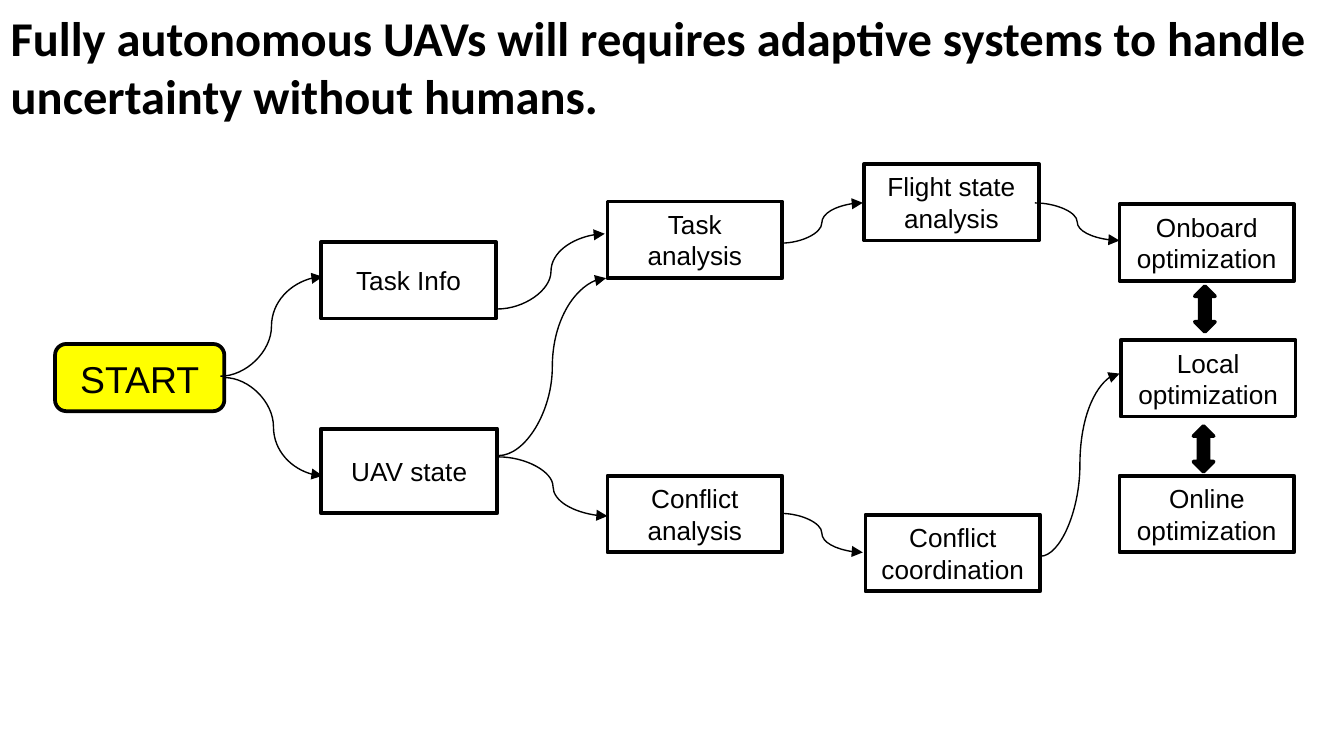
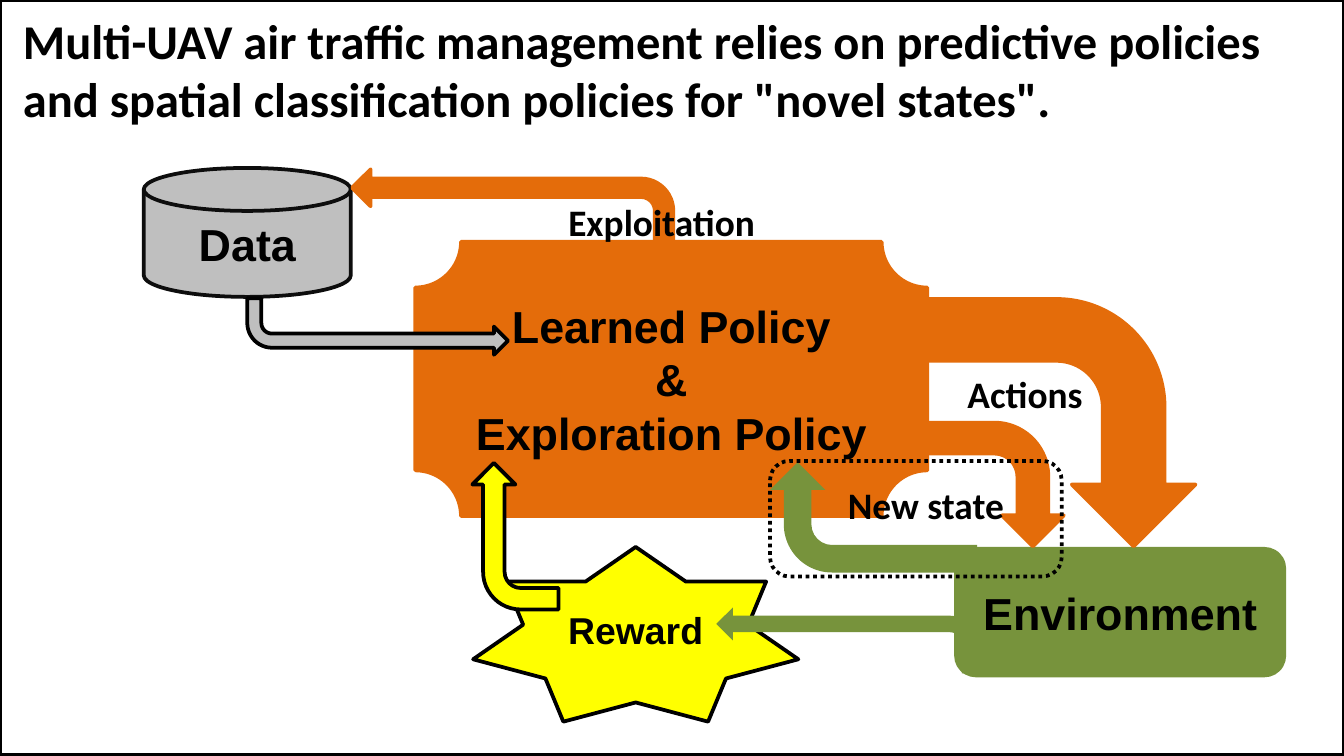
from dataclasses import dataclass

from lxml.etree import SubElement
from pptx import Presentation
from pptx.dml.color import RGBColor
from pptx.enum.dml import MSO_LINE
from pptx.enum.shapes import MSO_CONNECTOR, MSO_SHAPE
from pptx.enum.text import MSO_ANCHOR, MSO_AUTO_SIZE, PP_ALIGN
from pptx.oxml.ns import qn
from pptx.util import Emu, Pt

# Shared look: 100 px to the inch, 16:9 page
SCALE = 9144
WIDE, HIGH = 1000, 562
BLACK, WHITE, YELLOW = "000000", "FFFFFF", "FFFF00"
GREY, INK, GREEN, ORANGE = "BFBFBF", "0D0D0D", "77933C", "E46C0A"
HEAD_FONT, BODY_FONT = "Calibri", "Arial"
TITLE_ONLY = 5
STEP_W, STEP_H = 130, 57


@dataclass
class Box:
    kind: MSO_SHAPE
    x: int
    y: int
    w: int
    h: int
    fill: str = ""
    edge: str = BLACK
    text: str = ""
    size: int = 14
    bold: bool = False
    anchor: MSO_ANCHOR = MSO_ANCHOR.MIDDLE
    turn: int = 0
    flip: str = ""
    dots: bool = False


@dataclass
class Link:
    x1: int
    y1: int
    x2: int
    y2: int


@dataclass
class Label:
    x: int
    y: int
    w: int
    text: str


def px(count: int) -> Emu:
    return Emu(count * SCALE)


def paint(color: str) -> RGBColor:
    return RGBColor.from_string(color)


def add_run(para, text: str, size: int, font: str, bold: bool) -> None:
    run = para.add_run()
    run.text = text
    run.font.size = Pt(size)
    run.font.name = font
    run.font.bold = bold
    run.font.color.rgb = paint(BLACK)


def add_page(deck, x: int, y: int, w: int, text: str):
    """Add a slide with its headline."""
    page = deck.slides.add_slide(deck.slide_layouts[TITLE_ONLY])
    title = page.shapes.title
    title.left, title.top, title.width, title.height = map(px, (x, y, w, 88))
    frame = title.text_frame
    frame.margin_left = frame.margin_right = 0
    frame.margin_top = frame.margin_bottom = 0
    frame.vertical_anchor = MSO_ANCHOR.TOP
    frame.word_wrap = True
    frame.auto_size = MSO_AUTO_SIZE.SHAPE_TO_FIT_TEXT
    para = frame.paragraphs[0]
    para.alignment = PP_ALIGN.LEFT
    add_run(para, text, 26, HEAD_FONT, True)
    return page


def draw_box(page, box: Box) -> None:
    shape = page.shapes.add_shape(box.kind, *map(px, (box.x, box.y, box.w, box.h)))
    shape.shadow.inherit = False
    shape.rotation = box.turn
    for axis in box.flip:
        shape.element.spPr.xfrm.set("flip" + axis, "1")
    if box.fill:
        shape.fill.solid()
        shape.fill.fore_color.rgb = paint(box.fill)
    else:
        shape.fill.background()
    if box.edge:
        shape.line.color.rgb = paint(box.edge)
        shape.line.width = Pt(2)
        if box.dots:
            shape.line.dash_style = MSO_LINE.ROUND_DOT
    else:
        shape.line.fill.background()
    if box.text:
        frame = shape.text_frame
        frame.word_wrap = True
        frame.vertical_anchor = box.anchor
        for i, line in enumerate(box.text.split("\n")):
            para = frame.add_paragraph() if i else frame.paragraphs[0]
            para.alignment = PP_ALIGN.CENTER
            add_run(para, line, box.size, BODY_FONT, box.bold)


def draw_link(page, link: Link) -> None:
    ends = map(px, (link.x1, link.y1, link.x2, link.y2))
    curve = page.shapes.add_connector(MSO_CONNECTOR.CURVE, *ends)
    curve.line.color.rgb = paint(BLACK)
    curve.line.width = Pt(0.75)
    props = curve.element.spPr
    SubElement(props.find(qn("a:ln")), qn("a:tailEnd"), type="triangle")
    SubElement(props, qn("a:effectLst"))


def draw_label(page, label: Label) -> None:
    box = page.shapes.add_textbox(*map(px, (label.x, label.y, label.w, 44)))
    frame = box.text_frame
    frame.word_wrap = False
    frame.auto_size = MSO_AUTO_SIZE.SHAPE_TO_FIT_TEXT
    add_run(frame.paragraphs[0], label.text, 20, HEAD_FONT, True)


def step(x: int, y: int, text: str) -> Box:
    return Box(MSO_SHAPE.FLOWCHART_PROCESS, x, y, STEP_W, STEP_H, WHITE, text=text)


def bend(x: int, y: int, w: int, h: int, fill: str, edge: str,
         turn: int = 0, flip: str = "") -> Box:
    return Box(MSO_SHAPE.BENT_ARROW, x, y, w, h, fill, edge, turn=turn, flip=flip)


# Slide 1: flow from start to the three kinds of optimization
STEPS = [
    Box(MSO_SHAPE.ROUNDED_RECTANGLE, 41, 256, 126, 50, YELLOW, text="START",
        size=20, anchor=MSO_ANCHOR.BOTTOM),
    Box(MSO_SHAPE.RECTANGLE, 239, 180, STEP_W, STEP_H, WHITE, text="Task Info"),
    Box(MSO_SHAPE.FLOWCHART_PROCESS, 239, 319, 131, 63, WHITE, text="UAV state"),
    step(452, 150, "Task analysis"),
    step(833, 354, "Online optimization"),
    step(452, 354, "Conflict analysis"),
    step(833, 152, "Onboard optimization"),
    step(834, 253, "Local optimization"),
    step(644, 383, "Conflict coordination"),
    step(643, 122, "Flight state analysis"),
]
LINKS = [
    Link(164, 280, 240, 206),
    Link(167, 281, 240, 354),
    Link(371, 339, 451, 207),
    Link(371, 340, 452, 384),
    Link(370, 230, 450, 174),
    Link(581, 181, 642, 151),
    Link(581, 382, 642, 411),
    Link(770, 151, 833, 179),
    Link(774, 414, 833, 278),
]
SWAPS = [Box(MSO_SHAPE.UP_DOWN_ARROW, x, y, 15, 34, BLACK)
         for x, y in ((888, 317), (889, 213))]

# Slide 2: learning loop between policy and environment
PARTS = [
    Box(MSO_SHAPE.RECTANGLE, 0, 0, WIDE, HIGH),
    Box(MSO_SHAPE.FLOWCHART_MAGNETIC_DISK, 107, 125, 154, 96, GREY, INK,
        "Data", 24, True),
    Box(MSO_SHAPE.FLOWCHART_ALTERNATE_PROCESS, 710, 407, 247, 97, GREEN, "",
        "Environment", 24, True),
    Box(MSO_SHAPE.PLAQUE, 309, 180, 381, 204, ORANGE, ORANGE,
        "Learned Policy\n&\nExploration Policy", 24, True),
    Box(MSO_SHAPE.STAR_7_POINT, 352, 407, 242, 130, YELLOW, BLACK,
        "Reward", 20, True),
    bend(184, 222, 194, 42, GREY, BLACK, flip="V"),
    bend(262, 126, 239, 55, ORANGE, ORANGE, flip="H"),
    bend(698, 215, 184, 199, ORANGE, ORANGE, 90),
    bend(695, 310, 92, 101, ORANGE, ORANGE, 90),
    bend(533, 452, 195, 49, GREEN, "", flip="H"),
    bend(329, 367, 109, 64, YELLOW, BLACK, 270),
    bend(609, 308, 82, 154, GREEN, "", 90, "HV"),
]
LABELS = [
    Label(413, 143, 161, "Exploitation"),
    Label(710, 271, 107, "Actions"),
    Label(621, 354, 139, "New state"),
]
FOCUS = Box(MSO_SHAPE.ROUNDED_RECTANGLE, 573, 343, 217, 86, dots=True)


def main() -> None:
    deck = Presentation()
    deck.slide_width = px(WIDE)
    deck.slide_height = Emu(px(WIDE) * 9 // 16)

    flow = add_page(deck, 8, 6, 988, "Fully autonomous UAVs will requires adaptive "
                    "systems to handle uncertainty without humans.")
    for box in STEPS:
        draw_box(flow, box)
    for link in LINKS:
        draw_link(flow, link)
    for box in SWAPS:
        draw_box(flow, box)

    loop = add_page(deck, 17, 8, 940, "Multi-UAV air traffic management relies on "
                    "predictive policies and spatial classification policies for "
                    "\"novel states\".")
    for box in PARTS:
        draw_box(loop, box)
    for label in LABELS:
        draw_label(loop, label)
    draw_box(loop, FOCUS)

    deck.save("out.pptx")


if __name__ == "__main__":
    main()
